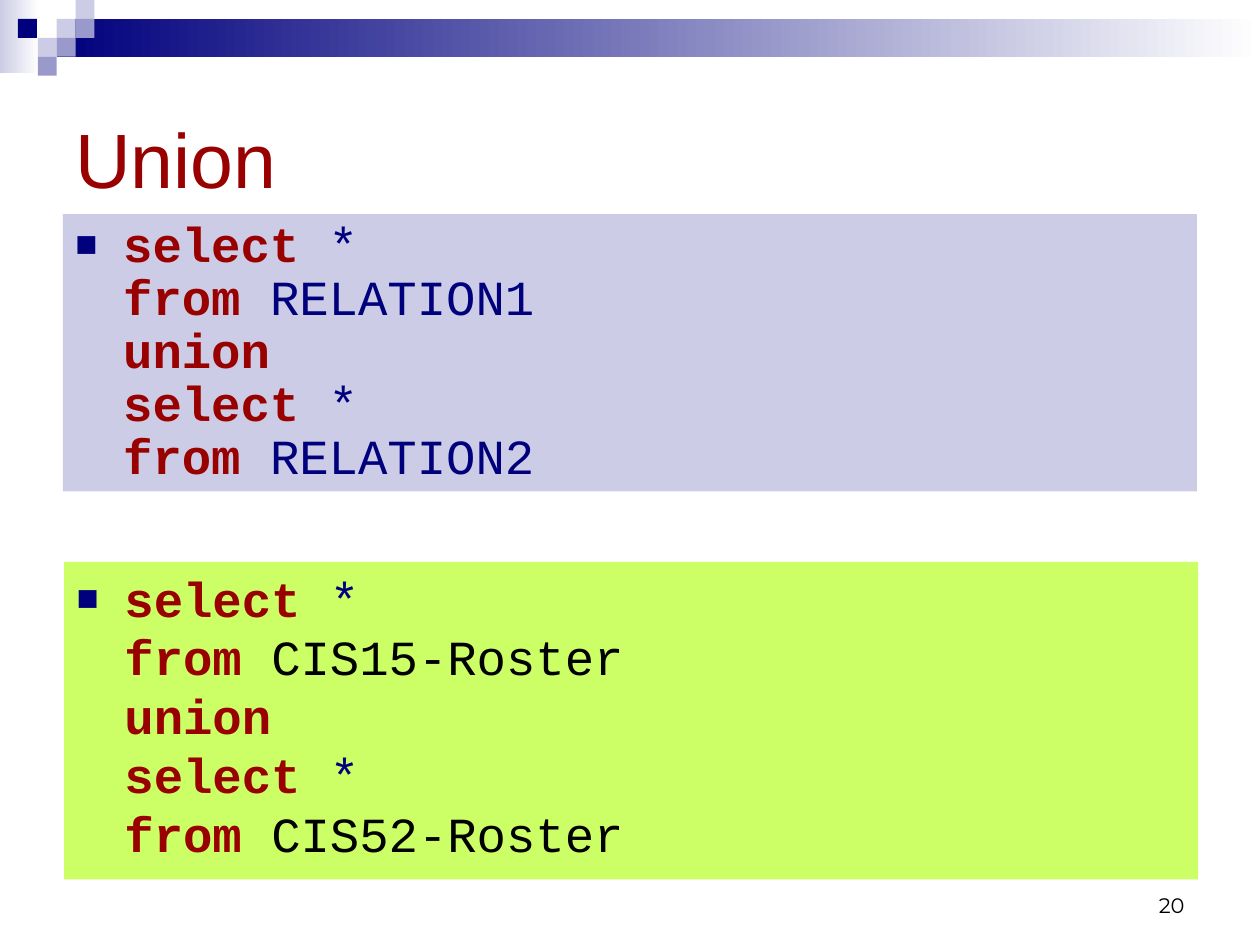
import pptx
import pptx.dml.color
import pptx.enum.shapes
import pptx.enum.text
import pptx.oxml
import pptx.oxml.ns
import pptx.util
from lxml import etree

RGBColor = pptx.dml.color.RGBColor
NAVY = RGBColor(0x00, 0x00, 0x7D)
PERIWINKLE = RGBColor(0x99, 0x99, 0xCC)
LAVENDER = RGBColor(0xCC, 0xCC, 0xE6)
LIME = RGBColor(0xCC, 0xFF, 0x66)
DARK_RED = RGBColor(0x99, 0x00, 0x00)
BLACK = RGBColor(0x00, 0x00, 0x00)
WHITE = RGBColor(0xFF, 0xFF, 0xFF)

ANCHOR = pptx.enum.text.MSO_ANCHOR
ALIGN = pptx.enum.text.PP_ALIGN
CELL = 0.05  # grid cell in inches: 200 columns by 150 rows


def add_child(parent, tag, **attributes):
    return etree.SubElement(parent, pptx.oxml.ns.qn(tag), attributes)


class SlideBuilder:
    """Holds the text style and the current slide; places by grid cells."""

    title_font = "Arial"
    code_font = "Courier New"
    number_font = "Montserrat"
    code_size = 28

    def __init__(self, slide):
        self.slide = slide

    def place(self, *cells):
        return [pptx.util.Inches(cell * CELL) for cell in cells]

    def style(self, run, font, size, color, bold=False):
        run.font.name = font
        run.font.size = pptx.util.Pt(size)
        run.font.color.rgb = color
        run.font.bold = bold

    def rectangle(self, box, color, fade_to=None):
        shape = self.slide.shapes.add_shape(
            pptx.enum.shapes.MSO_SHAPE.RECTANGLE, *self.place(*box))
        shape.shadow.inherit = False
        shape.line.fill.background()
        if fade_to is None:
            shape.fill.solid()
            shape.fill.fore_color.rgb = color
        else:
            shape.fill.gradient()
            shape.fill.gradient_angle = 0
            for stop, stop_color in zip(shape.fill.gradient_stops, (color, fade_to)):
                stop.color.rgb = stop_color
        return shape

    def label(self, box, text, font, size, color, anchor, alignment):
        frame = self.slide.shapes.add_textbox(*self.place(*box)).text_frame
        frame.word_wrap = True
        frame.vertical_anchor = anchor
        frame.text = text
        paragraph = frame.paragraphs[0]
        paragraph.alignment = alignment
        self.style(paragraph.runs[0], font, size, color)

    def bullet(self, paragraph):
        properties = paragraph._p.get_or_add_pPr()
        indent = pptx.util.Inches(0.38)
        properties.set("marL", str(indent))
        properties.set("indent", str(-indent))
        color = add_child(properties, "a:buClr")
        add_child(color, "a:srgbClr", val=str(NAVY))
        add_child(properties, "a:buSzPct", val="75000")
        add_child(properties, "a:buFont", typeface="Arial")
        add_child(properties, "a:buChar", char="■")

    def line_break(self, paragraph):
        paragraph.add_line_break()
        properties = add_child(paragraph._p[-1], "a:rPr", sz=str(self.code_size * 100))
        add_child(properties, "a:latin", typeface=self.title_font)

    def query(self, box, fill, lines, spacing):
        """A filled panel with one bulleted query; lines are (keyword, rest, color)."""
        frame = self.rectangle(box, fill).text_frame
        frame.word_wrap = True
        frame.vertical_anchor = ANCHOR.TOP
        paragraph = frame.paragraphs[0]
        paragraph.alignment = ALIGN.LEFT
        paragraph.line_spacing = spacing
        paragraph.space_before = pptx.util.Pt(7)
        self.bullet(paragraph)
        for index, (keyword, rest, color) in enumerate(lines):
            if index:
                self.line_break(paragraph)
            for text, text_color, bold in ((keyword, DARK_RED, True), (rest, color, False)):
                if text:
                    run = paragraph.add_run()
                    run.text = text
                    self.style(run, self.code_font, self.code_size, text_color, bold)


def union_query(first, second, color):
    return [("select ", "*", NAVY), ("from ", first, color), ("union", "", color),
            ("select ", "*", NAVY), ("from ", second, color)]


def main():
    presentation = pptx.Presentation()
    presentation.slide_width = pptx.util.Inches(10)
    presentation.slide_height = pptx.util.Inches(7.5)
    builder = SlideBuilder(presentation.slides.add_slide(presentation.slide_layouts[6]))

    # Header: two fading bars and a mosaic of squares
    builder.rectangle((0, 0, 6.2, 11.6), LAVENDER, WHITE)
    builder.rectangle((9, 3, 191, 6), NAVY, WHITE)
    side = 3
    for column, row, color in [
        (3, 1, LAVENDER), (4, 0, LAVENDER), (4, 1, PERIWINKLE), (2, 2, LAVENDER),
        (0.95, 1, NAVY), (3, 2, PERIWINKLE), (2, 3, PERIWINKLE),
    ]:
        builder.rectangle((column * side, row * side, side, side), color)

    # Title
    builder.label((10, 10, 180, 30), "Union", builder.title_font, 44, DARK_RED,
                  ANCHOR.MIDDLE, ALIGN.LEFT)

    # General form and example
    builder.query((10, 34, 180, 44), LAVENDER,
                  union_query("RELATION1", "RELATION2", NAVY), 0.9)
    builder.query((10.2, 89.2, 180, 50.4), LIME,
                  union_query("CIS15-Roster", "CIS52-Roster", BLACK), 1.0)

    # Slide number
    builder.label((143.4, 136.6, 46.6, 10), "20", builder.number_font, 12, BLACK,
                  ANCHOR.BOTTOM, ALIGN.RIGHT)

    presentation.save("out.pptx")


if __name__ == "__main__":
    main()
